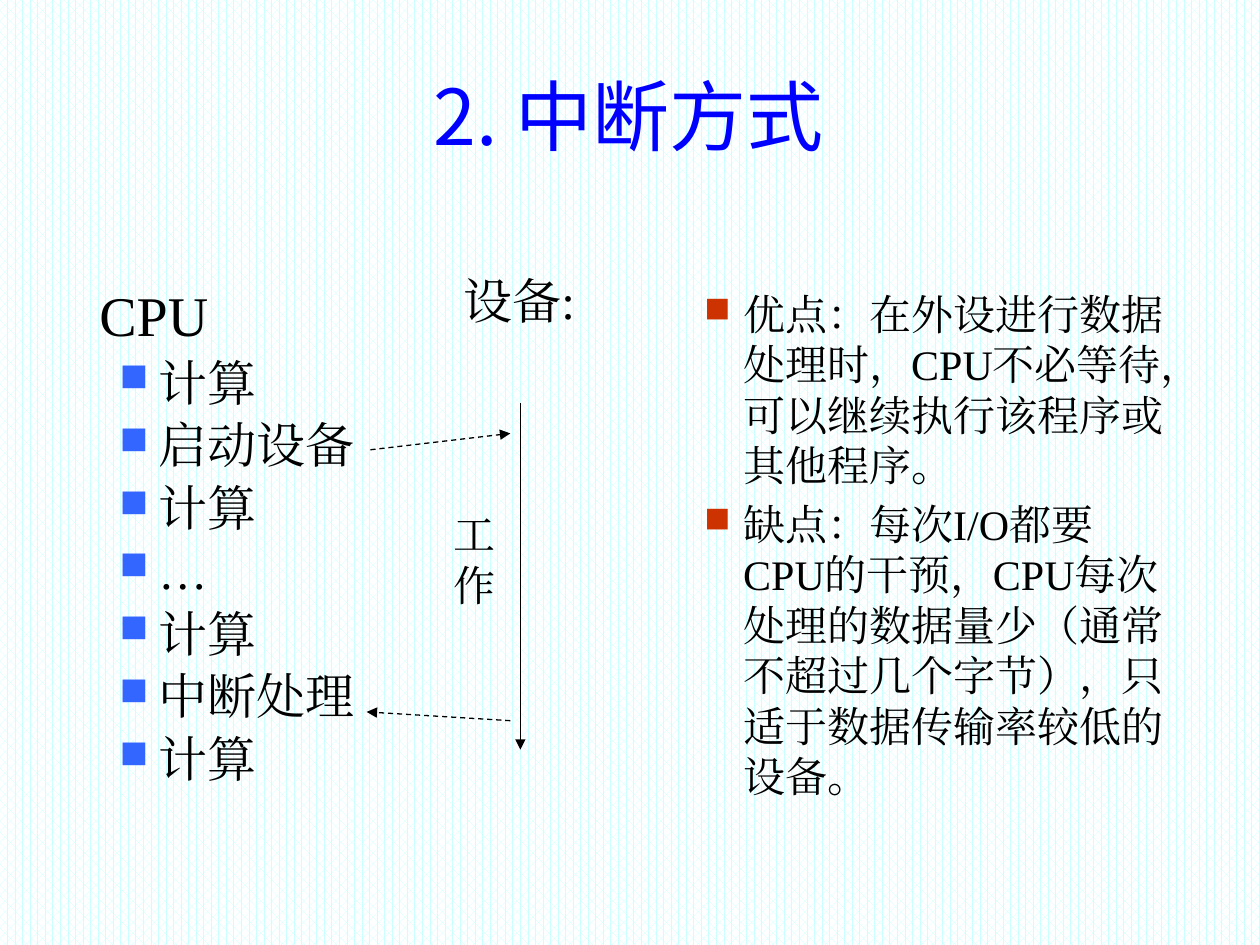
"""Build the slide on interrupt-driven I/O: CPU steps, device timeline, pros and cons."""
from dataclasses import dataclass

from lxml import etree
from pptx import Presentation
from pptx.dml.color import RGBColor
from pptx.enum.dml import MSO_LINE, MSO_PATTERN
from pptx.enum.shapes import MSO_CONNECTOR
from pptx.enum.text import MSO_ANCHOR, PP_ALIGN
from pptx.oxml.ns import qn
from pptx.util import Inches, Pt

DASH = MSO_LINE.DASH
STRAIGHT = MSO_CONNECTOR.STRAIGHT
MIDDLE = MSO_ANCHOR.MIDDLE
CENTER, LEFT = PP_ALIGN.CENTER, PP_ALIGN.LEFT


@dataclass(frozen=True)
class Theme:
    """Fonts, colours and type sizes."""
    serif: str = "Times New Roman"
    sans: str = "Noto Sans CJK JP"
    ink: str = "000000"
    head: str = "0000FF"
    step: str = "3366FF"
    point: str = "CC3300"
    tint: str = "CCFFFF"
    paper: str = "FFFFFF"
    title: int = 44
    label: int = 32
    body: int = 28
    note: int = 24


T = Theme()
COLS, ROWS = 10, 7.5

TITLE = "2. 中断方式"
STEPS = ["计算", "启动设备", "计算", "…", "计算", "中断处理", "计算"]
POINTS = [
    "优点：在外设进行数据处理时，CPU不必等待，可以继续执行该程序或其他程序。",
    "缺点：每次I/O都要CPU的干预，CPU每次处理的数据量少（通常不超过几个字节），只适于数据传输率较低的设备。",
]

HEAD = dict(size=T.label, indent=(0.34, 0), line=0.9)
STEP = dict(size=T.body, indent=(0.81, -0.31), line=0.9, bullet=(T.step, 80))
POINT = dict(size=T.note, indent=(0.81, -0.31), bullet=(T.point, 85))

BOXES = [
    ((0.35, 2.24, 3.67, 4.5), [("CPU", HEAD)] + [(s, STEP) for s in STEPS]),
    ((3.58, 2.1, 1.25, 0.57), [("设备:", dict(size=T.body))]),
    ((3.5, 3.99, 0.47, 0.9), [("工作", dict(size=T.note))]),
    ((4.99, 2.24, 4.41, 4.72), [(p, POINT) for p in POINTS]),
]
ARROWS = [
    ((4.13, 3.2), (4.13, 5.95), None),
    ((2.94, 3.57), (4.05, 3.44), DASH),
    ((4.05, 5.72), (2.91, 5.65), DASH),
]


def rgb(code):
    return RGBColor.from_string(code)


def style(obj, **vals):
    for key, val in vals.items():
        setattr(obj, key, val)


def node(up, tag, **vals):
    return etree.SubElement(up, qn(tag), vals)


def write(para, text, size, face=T.serif, color=T.ink):
    run = para.add_run()
    run.text = text
    style(run.font, name=face, size=Pt(size), bold=False)
    run.font.color.rgb = rgb(color)
    node(run.font._element, "a:ea", typeface=face)


def fill(para, text, size, indent=(0, 0), line=1.0, bullet=None, first=False):
    props = para._p.get_or_add_pPr()
    for key, val in zip(("marL", "indent"), indent):
        props.set(key, str(Inches(val)))
    style(para, alignment=LEFT, line_spacing=line,
          space_before=Pt(0 if first else size * 0.2))
    if bullet:
        color, share = bullet
        node(node(props, "a:buClr"), "a:srgbClr", val=color)
        node(props, "a:buSzPct", val=str(share * 1000))
        node(props, "a:buChar", char="■")
    write(para, text, size)


def main():
    prs = Presentation()
    style(prs, slide_width=Inches(COLS), slide_height=Inches(ROWS))
    unit_x, unit_y = prs.slide_width / COLS, prs.slide_height / ROWS

    def spot(x, y):
        return int(x * unit_x), int(y * unit_y)

    slide = prs.slides.add_slide(prs.slide_layouts[5])
    back = slide.background.fill
    back.patterned()
    back.pattern = MSO_PATTERN.PERCENT_60
    back.fore_color.rgb, back.back_color.rgb = rgb(T.tint), rgb(T.paper)

    title = slide.shapes.title
    (left, top), (width, height) = spot(0.75, 0.32), spot(8.48, 1.18)
    style(title, left=left, top=top, width=width, height=height)
    title.text_frame.vertical_anchor = MIDDLE
    para = title.text_frame.paragraphs[0]
    para.alignment = CENTER
    write(para, TITLE, T.title, T.sans, T.head)

    for (x, y, w, h), items in BOXES:
        frame = slide.shapes.add_textbox(*spot(x, y), *spot(w, h)).text_frame
        frame.word_wrap = True
        for i, (text, look) in enumerate(items):
            para = frame.add_paragraph() if i else frame.paragraphs[0]
            fill(para, text, first=not i, **look)

    for start, end, dash in ARROWS:
        arrow = slide.shapes.add_connector(STRAIGHT, *spot(*start), *spot(*end))
        style(arrow.line, width=Pt(0.75), dash_style=dash)
        arrow.line.color.rgb = rgb(T.ink)
        node(arrow.line._get_or_add_ln(), "a:tailEnd", type="triangle")
        node(arrow._element.spPr, "a:effectLst")

    prs.save("out.pptx")


if __name__ == "__main__":
    main()
